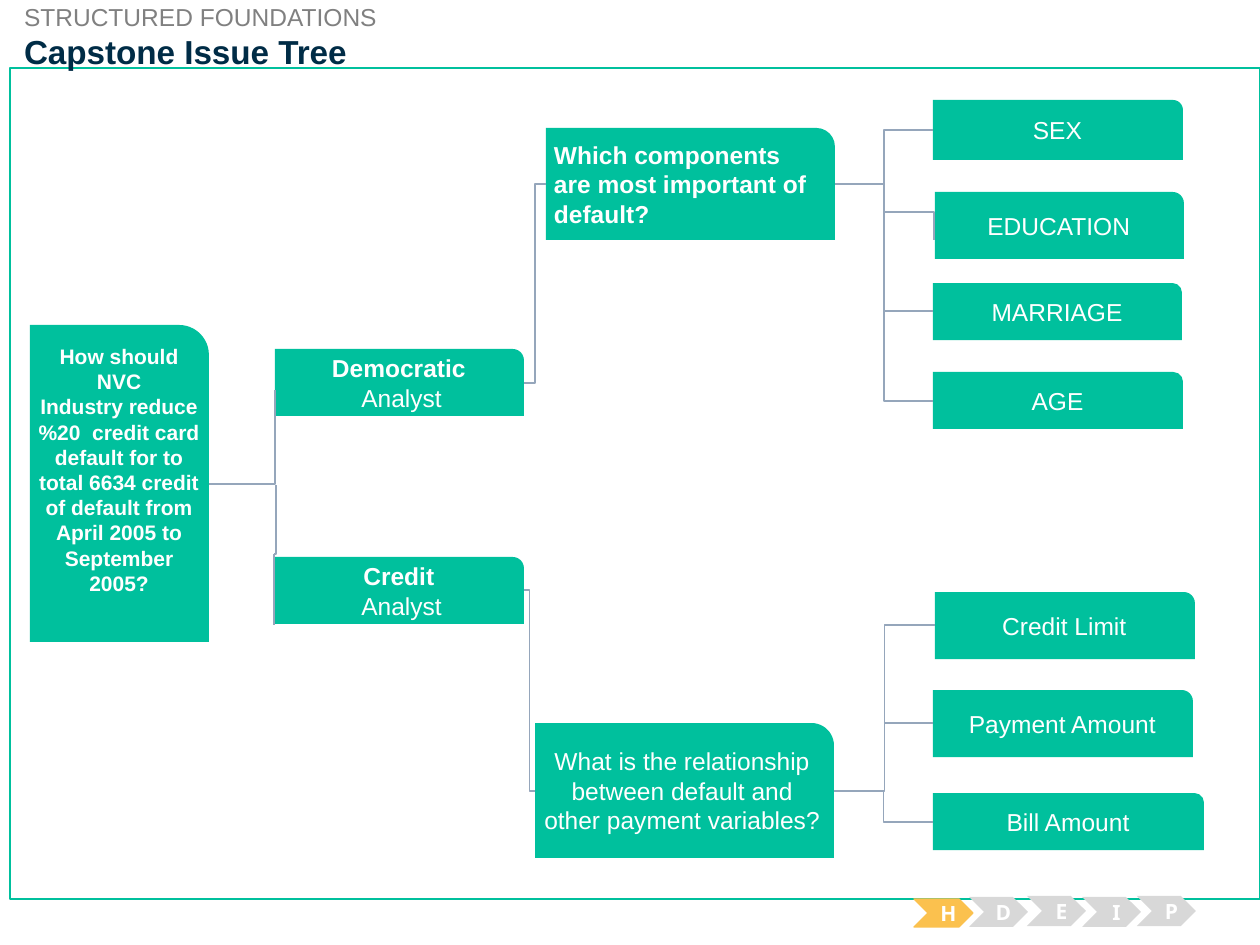
from lxml.etree import SubElement
from pptx import Presentation
from pptx.dml.color import RGBColor
from pptx.enum.shapes import MSO_CONNECTOR as Link, MSO_SHAPE as Shape
from pptx.enum.text import MSO_ANCHOR as Anchor, PP_ALIGN as Align
from pptx.oxml.ns import qn
from pptx.util import Emu, Pt

GREEN, WHITE, NAVY, GRAY = "00C09D", "FFFFFF", "002C46", "808080"
LINK_GRAY, AMBER, PALE = "95A6BB", "FBC14E", "D8D8D8"


def px(length):
    return Emu(round(length * 914400 / 126))


def color(hex_text):
    return RGBColor.from_string(hex_text)


def write(shape, text, size, hex_text, bold=False, align=Align.CENTER,
          anchor=Anchor.MIDDLE, insets=(0, 0, 0, 0), font="Arial", wrap=True):
    frame = shape.text_frame
    frame.text = text
    frame.word_wrap = wrap
    frame.vertical_anchor = anchor
    (frame.margin_left, frame.margin_top,
     frame.margin_right, frame.margin_bottom) = map(px, insets)
    for para in frame.paragraphs:
        para.alignment = align
        for span in para.runs:
            span.font.name, span.font.size = font, Pt(size)
            span.font.bold = bold
            span.font.color.rgb = color(hex_text)


def add_block(shapes, kind, box, fill, line=None, width=0.75):
    shape = shapes.add_shape(kind, *map(px, box))
    shape.shadow.inherit = False
    shape.fill.solid()
    shape.fill.fore_color.rgb = color(fill)
    if line:
        shape.line.color.rgb = color(line)
        shape.line.width = Pt(width)
    else:
        shape.line.fill.background()
    return shape


def add_card(page, box, text, size=14, insets=(8, 6, 6, 6), **style):
    card = add_block(page.shapes, Shape.ROUND_1_RECTANGLE, box, GREEN)
    write(card, text, size, WHITE, insets=insets, **style)
    return card


def add_link(page, start, end, bend=None):
    """Straight without bend; otherwise bend is the turn's share of the width."""
    kind = Link.STRAIGHT if bend is None else Link.ELBOW
    link = page.shapes.add_connector(kind, *map(px, start + end))
    link.line.color.rgb = color(LINK_GRAY)
    link.line.width = Pt(0.75)
    SubElement(link._element.spPr, qn("a:effectLst"))
    if bend is not None:
        guides = link._element.spPr.find(".//" + qn("a:avLst"))
        SubElement(guides, qn("a:gd"), name="adj1", fmla=f"val {round(bend * 100000)}")


def add_header(page, left, top):
    title = page.shapes.title
    title.left, title.top, title.width, title.height = map(px, (left, top + 29, 1188, 82))
    write(title, "Capstone Issue Tree", 19, NAVY, bold=True,
          align=Align.LEFT, anchor=Anchor.TOP)
    page.shapes._spTree.append(title._element)  # in front of the frame
    kicker = page.shapes.add_textbox(*map(px, (left, top, 358, 30)))
    write(kicker, "STRUCTURED FOUNDATIONS", 14, GRAY, align=Align.LEFT, anchor=Anchor.TOP)


def add_root(page, left, top):
    """The key question and the two analysts it leads to."""
    question = ("How should NVC Industry\u00a0reduce %20\u00a0 credit card default for to "
                "total 6634 credit of default from April 2005 to September 2005?")
    add_card(page, (left, top, 179, 317), question, 12, (8, 0, 0, 28), bold=True)
    for name, offset in (("Democratic", 24), ("Credit", 232)):
        card = add_card(page, (left + 245, top + offset, 249, 67), f"{name}\n Analyst")
        card.text_frame.paragraphs[0].runs[0].font.bold = True
    middle = top + 159
    add_link(page, (left + 179, middle), (left + 245, top + 65), 1)
    add_link(page, (left + 246, middle + 1), (left + 244, top + 229), 0)
    add_link(page, (left + 244, top + 229), (left + 244, top + 300))


def add_topic(page, box, text, leaves, **style):
    """A topic card and its leaves, as offsets from the topic's corner."""
    left, top, width, height = box
    add_card(page, box, text, **style)
    for name, dx, dy, leaf_width, leaf_height in leaves:
        add_card(page, (left + dx, top + dy, leaf_width, leaf_height), name)


def add_tracker(page, left, top):
    group = page.shapes.add_group_shape()
    steps = (("H", 0, 3, 28), ("D", 55, 1, 30), ("E", 113, 0, 30),
             ("I", 168, 1, 30), ("P", 223, 0, 30))
    for letter, dx, dy, height in steps:
        active = letter == "H"
        step = add_block(group.shapes, Shape.CHEVRON, (left + dx, top + dy, 59, height),
                         AMBER if active else PALE, AMBER if active else None)
        write(step, letter, 12, WHITE, bold=True, font="Noto Sans",
              insets=(10, 0, 0, 0), wrap=False)


deck = Presentation()
deck.slide_width, deck.slide_height = px(1260), px(945)
page = deck.slides.add_slide(deck.slide_layouts[5])

# Frame and header
add_block(page.shapes, Shape.RECTANGLE, (10, 68, 1250, 831), WHITE, GREEN, 1.5)
add_header(page, 24, 2)

# Tree cards
add_root(page, 30, 325)
add_topic(page, (546, 128, 289, 112), "Which components are most important of default?",
          (("SEX", 387, -28, 250, 60), ("EDUCATION", 389, 64, 249, 67),
           ("MARRIAGE", 387, 155, 249, 57), ("AGE", 387, 244, 250, 57)),
          bold=True, align=Align.LEFT)
add_topic(page, (535, 723, 299, 135),
          "What is the relationship between default and other payment variables?",
          (("Credit Limit", 400, -131, 260, 67), ("Payment Amount", 398, -33, 260, 67),
           ("Bill Amount", 398, 70, 271, 57)))

# Links from analysts to topics and from topics to leaves
for start, end, bend in (
        ((524, 383), (546, 184), 0.5),
        ((524, 590), (535, 791), 0.5),
        ((835, 184), (933, 130), 0.5),
        ((884, 212), (934, 240), 1),
        ((884, 184), (933, 401), 0),
        ((884, 311), (933, 311), None),
        ((834, 791), (935, 625), 0.5),
        ((834, 791), (933, 822), 0.5),
        ((884, 723), (933, 723), None)):
    add_link(page, start, end, bend)

# Step tracker
add_tracker(page, 914, 896)

deck.save("out.pptx")
